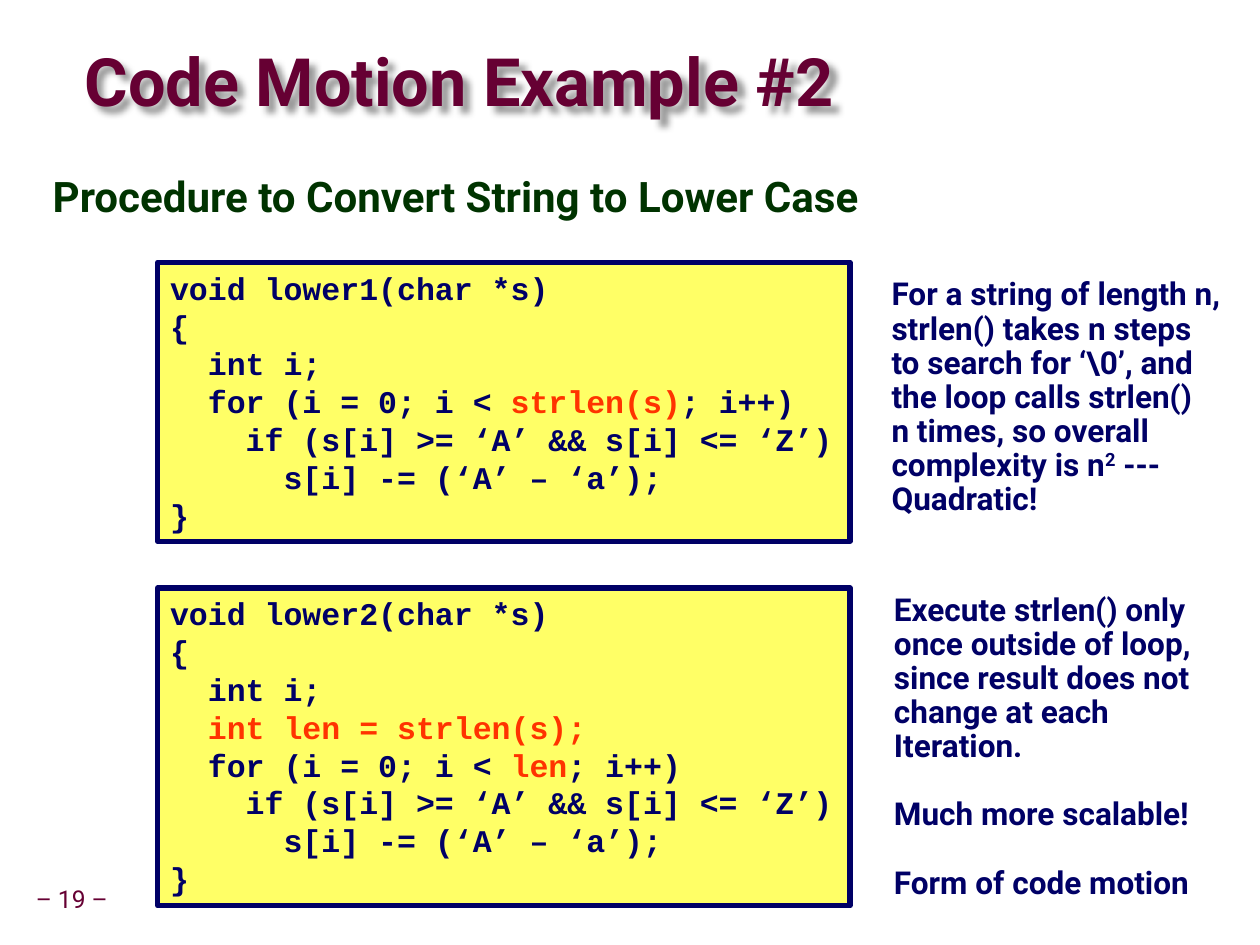
from lxml import etree
from pptx import Presentation
from pptx.dml.color import RGBColor
from pptx.enum import shapes, text
from pptx.oxml import ns
from pptx.util import Pt

PX = 9144  # EMU per px, 100 px to the inch
MAROON = RGBColor(0x66, 0x00, 0x33)
GREEN = RGBColor(0x00, 0x33, 0x00)
NAVY = RGBColor(0x00, 0x00, 0x66)
YELLOW = RGBColor(0xFF, 0xFF, 0x66)
RED = RGBColor(0xFF, 0x33, 0x00)
SANS, MONO = "Roboto", "Courier New"
TITLE_ONLY = 5

LOWER1 = """void lower1(char *s)
{
  int i;
  for (i = 0; i < |strlen(s)|; i++)
    if (s[i] >= ‘A’ && s[i] <= ‘Z’)
      s[i] -= (‘A’ – ‘a’);
}"""
LOWER2 = """void lower2(char *s)
{
  int i;
  |int len = strlen(s);|
  for (i = 0; i < |len|; i++)
    if (s[i] >= ‘A’ && s[i] <= ‘Z’)
      s[i] -= (‘A’ – ‘a’);
}"""
QUADRATIC = """For a string of length n,
strlen() takes n steps
to search for ‘\\0’, and
the loop calls strlen()
n times, so overall
complexity is n|2| ---
Quadratic!"""
ONCE = """Execute strlen() only
once outside of loop,
since result does not
change at each
Iteration."""


def redden(run):
    run.font.color.rgb = RED


def raise_up(run):
    run._r.get_or_add_rPr().set("baseline", "30000")


class CodeSlide:
    def __init__(self, deck):
        self.slide = deck.slides.add_slide(deck.slide_layouts[TITLE_ONLY])

    def fill_text(self, frame, groups, size, color, font=SANS, bold=True, spacing=1.0,
                  margins=(10, 5), mark=None, gap=0):
        """Fill frame with groups of lines; mark styles the parts between bars."""
        frame.word_wrap = True
        frame.auto_size = text.MSO_AUTO_SIZE.NONE
        frame.margin_left = frame.margin_right = margins[0] * PX
        frame.margin_top = frame.margin_bottom = margins[1] * PX
        paragraph = frame.paragraphs[0]
        for group_no, group in enumerate(groups):
            for line_no, line in enumerate(group.split("\n")):
                if group_no or line_no:
                    paragraph = frame.add_paragraph()
                paragraph.alignment = text.PP_ALIGN.LEFT
                paragraph.line_spacing = spacing
                if group_no and not line_no:
                    paragraph.space_before = Pt(gap)
                paragraph.font.name = font
                paragraph.font.size = Pt(size)
                paragraph.font.bold = bold
                paragraph.font.color.rgb = color
                for part_no, part in enumerate(line.split("|")):
                    if part:
                        run = paragraph.add_run()
                        run.text = part
                        if part_no % 2:
                            mark(run)

    def title(self, heading, left, top, width, height):
        title = self.slide.shapes.title
        title.left, title.top = left * PX, top * PX
        title.width, title.height = width * PX, height * PX
        title.fill.background()
        self.fill_text(title.text_frame, [heading], 38, MAROON, spacing=0.87, margins=(0, 0))
        title.text_frame.vertical_anchor = text.MSO_ANCHOR.MIDDLE
        title._element.spPr.append(etree.fromstring(
            f'<a:effectLst {ns.nsdecls("a")}>'
            '<a:outerShdw blurRad="50800" dist="63500" dir="2700000">'
            '<a:srgbClr val="000000"><a:alpha val="40000"/></a:srgbClr>'
            '</a:outerShdw></a:effectLst>'))

    def note(self, groups, left, top, width, height, size=18, color=NAVY, **style):
        box = self.slide.shapes.add_textbox(left * PX, top * PX, width * PX, height * PX)
        self.fill_text(box.text_frame, groups, size, color, **style)
        return box.text_frame

    def code(self, listing, top, height):
        panel = self.slide.shapes.add_shape(
            shapes.MSO_SHAPE.RECTANGLE, 125 * PX, top * PX, 549 * PX, height * PX)
        panel.shadow.inherit = False
        panel.fill.solid()
        panel.fill.fore_color.rgb = YELLOW
        panel.line.color.rgb = NAVY
        panel.line.width = Pt(3)
        self.fill_text(panel.text_frame, [listing], 18, NAVY, font=MONO, mark=redden)
        panel.text_frame.vertical_anchor = text.MSO_ANCHOR.TOP


def main():
    deck = Presentation()
    deck.slide_width, deck.slide_height = 999 * PX, 749 * PX
    page = CodeSlide(deck)
    number = page.note(["– 19 –"], 23, 698, 68, 32, size=14, color=MAROON,
                       bold=False, spacing=0.9, margins=(5, 5))
    number.word_wrap = False
    number.vertical_anchor = text.MSO_ANCHOR.MIDDLE
    number.paragraphs[0].alignment = text.PP_ALIGN.CENTER
    page.title("Code Motion Example #2", 67, 37, 738, 62)
    page.note(["Procedure to Convert String to Lower Case"], 32, 133, 907, 50,
              size=24, color=GREEN, spacing=0.95)
    page.code(LOWER1, 208, 221)
    page.code(LOWER2, 466, 252)
    page.note([QUADRATIC], 697, 216, 302, 201, spacing=0.9, mark=raise_up)
    page.note([ONCE, "Much more scalable!", "Form of code motion"],
              699, 466, 274, 255, spacing=0.9, gap=19.5)
    deck.save("out.pptx")


if __name__ == "__main__":
    main()
